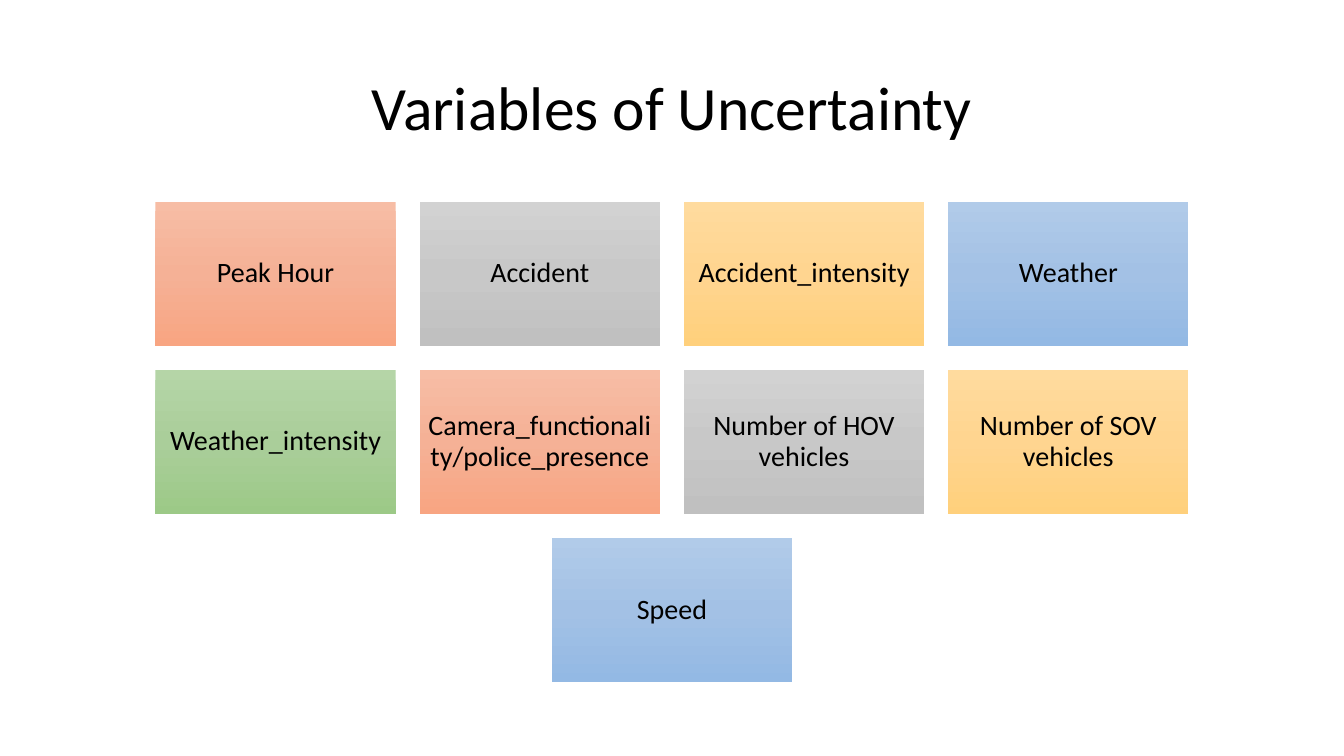
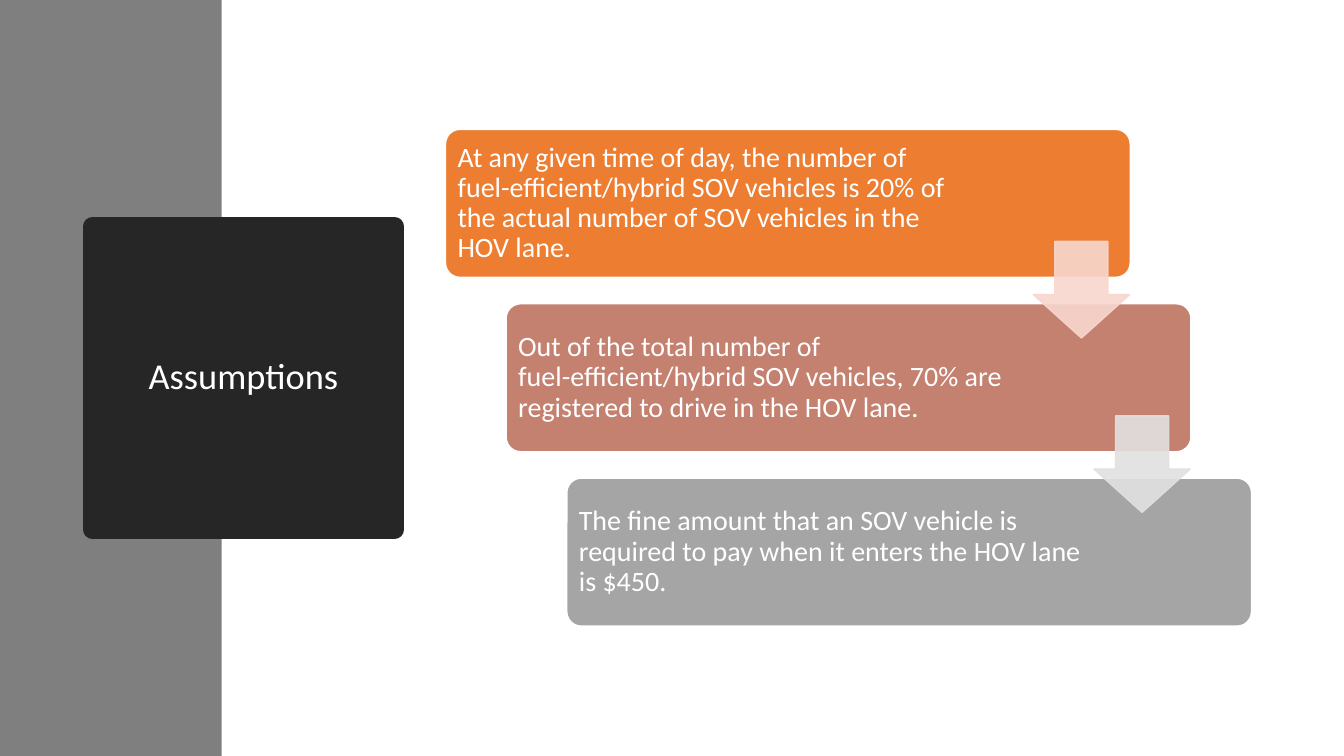
from copy import deepcopy

from lxml.etree import SubElement
from pptx import Presentation
from pptx.dml.color import RGBColor
from pptx.enum.shapes import MSO_SHAPE as Shape
from pptx.enum.text import MSO_ANCHOR as Anchor, MSO_AUTO_SIZE as AutoSize, PP_ALIGN as Align
from pptx.oxml.ns import qn
from pptx.util import Inches, Pt

# Grid of the slide: square cells, twelve to the inch
COLUMNS, ROWS = 160, 90
CELL = Inches(1) / 12

BLACK, WHITE = "000000", "FFFFFF"

# Gradients from top to bottom
ORANGE = ("F7BDA5", "F5B196", "F8A582")
GRAY = ("D2D2D2", "C8C8C8", "C0C0C0")
GOLD = ("FFDB9E", "FFD590", "FFD07C")
BLUE = ("B1CBE9", "A3C1E5", "93B9E4")
GREEN = ("B5D5A7", "AACE9A", "9CC987")

VARIABLES = [
    [("Peak Hour", ORANGE), ("Accident", GRAY),
     ("Accident_intensity", GOLD), ("Weather", BLUE)],
    [("Weather_intensity", GREEN), ("Camera_functionality/police_presence", ORANGE),
     ("Number of HOV vehicles", GRAY), ("Number of SOV vehicles", GOLD)],
    [("Speed", BLUE)],
]

ASSUMPTIONS = [
    ("At any given time of day, the number of fuel-efficient/hybrid SOV vehicles "
     "is 20% of the actual number of SOV vehicles in the HOV lane.", "ED7D31"),
    ("Out of the total number of fuel-efficient/hybrid SOV vehicles, 70% are "
     "registered to drive in the HOV lane.", "C48170"),
    ("The fine amount that an SOV vehicle is required to pay when it enters "
     "the HOV lane is $450.", "A5A5A5"),
]
ARROW_COLORS = ["F8D7CE", "E1E1E1"]


def rgb(color):
    return RGBColor.from_string(color)


def cells(*counts):
    return [round(count * CELL) for count in counts]


def set_all(target, values):
    for name, value in values.items():
        setattr(target, name, value)


class SlideBuilder:
    """Holds the shared style and the page being drawn."""

    font = "Calibri"
    inset = Inches(0.08)

    def __init__(self):
        self.deck = Presentation()
        self.deck.slide_width, self.deck.slide_height = cells(COLUMNS, ROWS)
        self.page = None

    def new_page(self):
        self.page = self.deck.slides.add_slide(self.deck.slide_layouts[5])

    def put_text(self, shape, text, size, color, align=Align.CENTER, **margins):
        frame = shape.text_frame
        set_all(frame, {"word_wrap": True, "auto_size": AutoSize.NONE,
                        "vertical_anchor": Anchor.MIDDLE, **margins})
        para = frame.paragraphs[0]
        set_all(para, {"alignment": align, "line_spacing": 0.9})
        span = para.add_run()
        span.text = text
        set_all(span.font, {"name": self.font, "size": Pt(size)})
        span.font.color.rgb = rgb(color)

    def paint(self, shape, fill, line=None, width=0):
        shape.fill.solid()
        shape.fill.fore_color.rgb = rgb(fill)
        if line:
            shape.line.color.rgb = rgb(line)
            shape.line.width = Pt(width)
        else:
            shape.line.fill.background()

    def title(self, text, place, size, color=BLACK):
        title = self.page.shapes.title
        set_all(title, dict(zip(("left", "top", "width", "height"), cells(*place))))
        self.put_text(title, text, size, color)
        # Bring the title in front of what is already drawn
        title._element.getparent().append(title._element)
        return title

    def shape(self, kind, place, adjustments=()):
        shape = self.page.shapes.add_shape(kind, *cells(*place))
        shape.shadow.inherit = False
        for index, value in enumerate(adjustments):
            shape.adjustments[index] = value
        return shape

    def band(self, place, color):
        self.paint(self.shape(Shape.RECTANGLE, place), color)

    def tile(self, text, place, colors):
        box = self.shape(Shape.RECTANGLE, place)
        box.line.fill.background()
        box.fill.gradient()
        box.fill.gradient_angle = 270
        stop_list = next(box._element.iter(qn("a:gsLst")))
        stop_list.insert(1, deepcopy(stop_list[0]))
        for index, stop in enumerate(box.fill.gradient_stops):
            stop.position = index / 2
            stop.color.rgb = rgb(colors[index])
        self.put_text(box, text, 20, BLACK, margin_left=self.inset, margin_right=self.inset)

    def step(self, text, place, color):
        box = self.shape(Shape.ROUNDED_RECTANGLE, place, [0.1])
        self.paint(box, color, WHITE, 1.5)
        self.put_text(box, text, 20, WHITE, Align.LEFT,
                      margin_left=self.inset, margin_right=Inches(1.62))

    def arrow(self, place, color):
        arrow = self.shape(Shape.DOWN_ARROW, place, [0.55, 0.45])
        self.paint(arrow, color, color, 1)
        # Make fill and line slightly see-through
        for tone in arrow._element.spPr.iter(qn("a:srgbClr")):
            SubElement(tone, qn("a:alpha"), val="90000")


def draw_variables(builder):
    builder.new_page()
    builder.title("Variables of Uncertainty", (11, 4.5, 138, 17.4), 44)
    # Rows of tiles, each row centred on the slide
    gap, top = 2.86, 24
    width, height = 10 * gap, 6 * gap
    for row, tiles in enumerate(VARIABLES):
        left = (COLUMNS - len(tiles) * (width + gap) + gap) / 2
        for column, (text, colors) in enumerate(tiles):
            place = (left + column * (width + gap), top + row * (height + gap), width, height)
            builder.tile(text, place, colors)


def draw_assumptions(builder):
    builder.new_page()
    # Side band and title block
    builder.band((0, 0, 26.4, ROWS), "7F7F7F")
    title = builder.title("Assumptions", (11, 27, 36, 36), 26, WHITE)
    builder.paint(title, "262626", "262626", 13.75)
    # Staircase of steps, then the arrows over them
    across, down = 7.22, 20.76
    for index, (text, color) in enumerate(ASSUMPTIONS):
        builder.step(text, (53 + index * across, 15.36 + index * down, 81.6, 17.7), color)
    for index, color in enumerate(ARROW_COLORS):
        builder.arrow((123 + index * across, 28.75 + index * down, 11.5, 11.5), color)


def main():
    builder = SlideBuilder()
    draw_variables(builder)
    draw_assumptions(builder)
    builder.deck.save("out.pptx")


if __name__ == "__main__":
    main()
